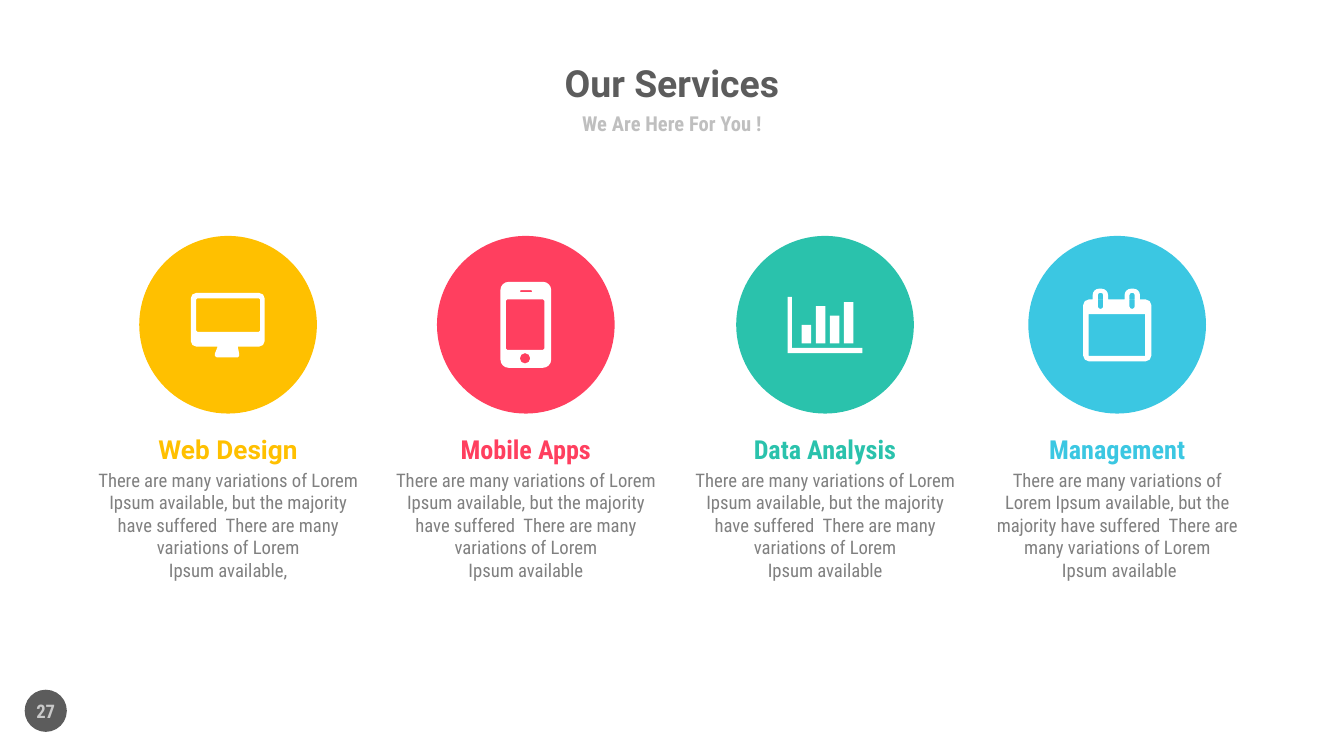
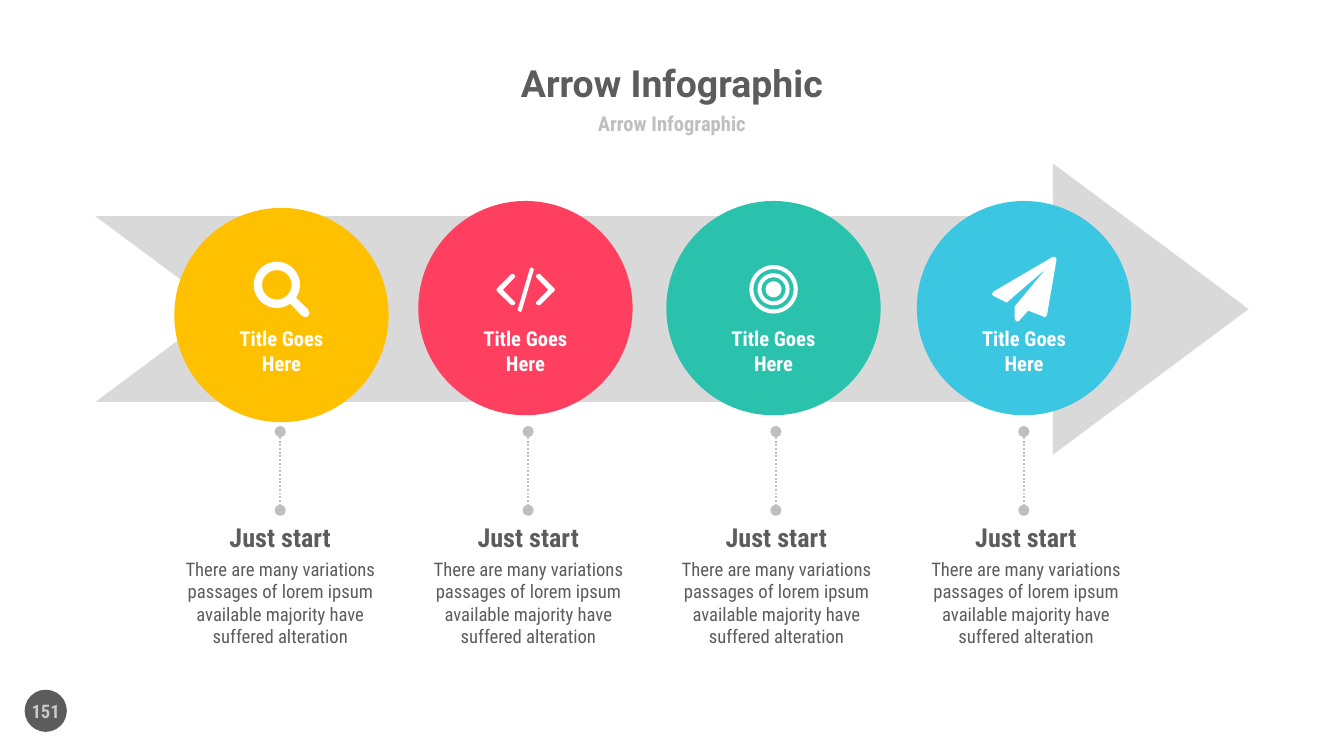
"""Build a services slide and an arrow infographic slide."""
from dataclasses import dataclass
from math import ceil, cos, radians, sin, tan

from lxml import etree
from pptx import Presentation
from pptx.dml.color import RGBColor
from pptx.enum.dml import MSO_LINE
from pptx.enum.shapes import MSO_CONNECTOR, MSO_SHAPE
from pptx.enum.text import MSO_ANCHOR, MSO_AUTO_SIZE, PP_ALIGN
from pptx.oxml.ns import qn
from pptx.util import Pt

OVAL = MSO_SHAPE.OVAL
ARROW = MSO_SHAPE.NOTCHED_RIGHT_ARROW
STRAIGHT = MSO_CONNECTOR.STRAIGHT
DOTTED = MSO_LINE.ROUND_DOT
TOP = MSO_ANCHOR.TOP
MIDDLE = MSO_ANCHOR.MIDDLE
CENTER = PP_ALIGN.CENTER
GROW = MSO_AUTO_SIZE.SHAPE_TO_FIT_TEXT
FIXED = MSO_AUTO_SIZE.NONE


@dataclass(frozen=True)
class Theme:
    """Colours, fonts and type sizes."""
    yellow: str = "FFC000"
    red: str = "FF3F5F"
    green: str = "2AC2AC"
    blue: str = "3BC7E2"
    white: str = "FFFFFF"
    dark: str = "5C5C5C"
    body: str = "808080"
    muted: str = "BFBFBF"
    number: str = "C9C9C9"
    arrow: str = "D9D9D9"
    wide: str = "Roboto"
    narrow: str = "Roboto Condensed"
    title_size: float = 20
    heading_size: float = 14
    label_size: float = 11
    body_size: float = 10


THEME = Theme()
SLIDE_SIZE = (720, 405)
INSETS = (7.2, 3.6)
NO_INSETS = (0, 0)

SERVICE_TEXT = ("There are many variations of Lorem Ipsum available, but the majority "
                "have suffered  There are many variations of Lorem\v")
SERVICES = [
    ("Web Design", "Ipsum available,", THEME.yellow, THEME.wide, 122.2, 155.5, "monitor", (102.2, 156.9)),
    ("Mobile Apps", "Ipsum available", THEME.red, THEME.narrow, 281.7, 158.4, "phone", (268.1, 151)),
    ("Data Analysis", "Ipsum available", THEME.green, THEME.narrow, 442, 157.7, "chart", (422, 159)),
    ("Management", " Ipsum available", THEME.blue, THEME.narrow, 598.5, 151.2, "calendar", (580.3, 154.7)),
]
STEP_LABEL = ["Title Goes", "Here"]
STEP_HEADING = "Just start"
STEP_TEXT = ("There are many variations passages of lorem ipsum "
             "available majority have suffered alteration")
STEPS = [
    (THEME.yellow, 150.8, 111.4, 150.1, "magnifier", (135.9, 140.4)),
    (THEME.red, 281.5, 107.7, 283, "code", (265.9, 143.3)),
    (THEME.green, 414.4, 107.7, 415.9, "target", (401.6, 142)),
    (THEME.blue, 548.6, 107.7, 549.6, "plane", (531.4, 137.6)),
]


def arc(x, y, radius, start, end):
    """Return a start point and curve segments, angles in degrees."""
    if not radius:
        return [((x, y),)]
    count = ceil(abs(end - start) / 90)
    step = radians(end - start) / count
    pull = 4 / 3 * tan(step / 4)
    angles = [radians(start) + step * i for i in range(count + 1)]
    points = [(x + radius * cos(angle), y + radius * sin(angle)) for angle in angles]
    segments = [(points[0],)]
    for (x1, y1), (x2, y2) in zip(points, points[1:]):
        segments.append(((x1 - pull * (y1 - y), y1 + pull * (x1 - x)),
                         (x2 + pull * (y2 - y), y2 - pull * (x2 - x)), (x2, y2)))
    return segments


def circle(x, y, radius):
    """Return the outline of a circle."""
    return arc(x, y, radius, 0, 360)


def polygon(*points):
    """Return an outline of straight lines."""
    return [(point,) for point in points]


def box(left, top, right, bottom, radius=0, base_radius=None):
    """Return a rectangle with rounded top and base corners."""
    base = radius if base_radius is None else base_radius
    return (arc(left + radius, top + radius, radius, 180, 270)
            + arc(right - radius, top + radius, radius, 270, 360)
            + arc(right - base, bottom - base, base, 0, 90)
            + arc(left + base, bottom - base, base, 90, 180))


CHEVRON = [(9.4, 20.2), (8, 20.2), (0.2, 12.5), (0.2, 11.4), (8, 3.6), (9.4, 3.6),
           (10.1, 4.5), (10.1, 5.2), (3.6, 12), (10.1, 18.7), (10.1, 19.4)]
BAR_TOPS = [15.1, 5, 10.1, 2.9]
ICONS = {
    "monitor": [
        box(0, 0, 39.6, 28.8, 3),
        box(2.9, 2.9, 37.2, 20.9, 0.7),
        polygon((14.4, 28.8), (25.2, 28.8), (25.9, 32.4), (25.9, 33.8), (25.2, 34.6),
                (14, 34.6), (13, 33.8), (13, 32.4)),
    ],
    "phone": [
        box(0, 0, 27.2, 46.1, 4.5),
        box(2.9, 9.4, 23.6, 36.5, 0.8),
        box(10.4, 4.5, 17.1, 5.6, 0.5),
        circle(13.2, 41, 2.8),
    ],
    "chart": [
        polygon((0, 0), (2.2, 0), (2.2, 27.4), (40, 27.4), (40, 30.2), (0, 30.2)),
        *[box(7.5 + 7.55 * i, top, 12.6 + 7.55 * i, 25) for i, top in enumerate(BAR_TOPS)],
    ],
    "calendar": [
        box(0, 5.8, 36.5, 38.9, 3),
        box(2.9, 13.7, 33.2, 36),
        *[box(left, 0, left + 8.2, 5.8, 3.4, 0) for left in (5.1, 22.2)],
        *[box(left, 2.2, left + 2.8, 10.8, 1.2) for left in (7.9, 24.8)],
    ],
    "magnifier": [
        arc(12.4, 12.2, 12.4, 34, 0) + arc(12.4, 12.2, 12.4, 0, -270)[1:]
        + arc(12.4, 12.2, 12.4, 90, 55)[1:]
        + polygon((25.9, 28.8), (27.4, 29.5), (29, 29.2), (29.9, 27.4), (29.2, 25.4)),
        circle(12.4, 12.2, 7.9),
    ],
    "code": [
        polygon(*CHEVRON),
        polygon((13.7, 23), (13, 23.8), (12, 23.4), (11.5, 22.7), (18, 0.7), (18.7, 0),
                (19.6, 0.4), (20.2, 1)),
        polygon(*[(31.4 - x, y) for x, y in CHEVRON]),
    ],
    "target": [circle(12.8, 13, radius) for radius in (13, 10.8, 8.6, 6.5, 4.3)],
    "plane": [
        polygon((34.6, 1.4), (29.5, 31), (28.8, 32.2), (28, 32.2), (19.4, 28.8), (14.4, 34.4),
                (13, 34.6), (12.2, 33.1), (12.2, 26.6), (28.8, 6.5), (7.9, 24.5), (0.7, 20.9),
                (0, 20), (0.7, 18.7), (32.6, 0), (33.8, 0)),
    ],
}


def paint(shape, color):
    """Give a shape a flat fill without line or shadow."""
    shape.shadow.inherit = False
    shape.fill.solid()
    shape.fill.fore_color.rgb = RGBColor.from_string(color)
    shape.line.fill.background()


def add_shape(slide, kind, left, top, width, height, color):
    """Add a flat preset shape."""
    shape = slide.shapes.add_shape(kind, Pt(left), Pt(top), Pt(width), Pt(height))
    paint(shape, color)
    return shape


def bend(shape, contours):
    """Join each three-point segment of a freeform into one curve."""
    outline = next(shape._element.iter(qn("a:path")))
    commands = iter([node for node in outline if node.tag != qn("a:close")])
    for contour in contours:
        for segment in contour:
            first, *others = [next(commands) for _ in segment]
            for other in others:
                first.append(other[0])
                outline.remove(other)
            if others:
                first.tag = qn("a:cubicBezTo")


def add_icon(slide, name, origin):
    """Draw a white icon with its top left at origin."""
    left, top = origin
    contours = ICONS[name]
    outlines = [[((left + x) * 100, (top + y) * 100) for segment in contour for x, y in segment]
                for contour in contours]
    builder = slide.shapes.build_freeform(*outlines[0][0], scale=Pt(1) / 100)
    for i, points in enumerate(outlines):
        if i:
            builder.move_to(*points[0])
        builder.add_line_segments(points[1:], close=True)
    shape = builder.convert_to_shape()
    bend(shape, contours)
    paint(shape, THEME.white)


def add_text(shapes, area, lines, insets=NO_INSETS, anchor=TOP, wrap=True, grow=True):
    """Add centred lines of (text, size, font, color, bold, space before)."""
    text_box = shapes.add_textbox(*[Pt(value) for value in area])
    frame = text_box.text_frame
    frame.word_wrap = wrap
    frame.auto_size = GROW if grow else FIXED
    frame.vertical_anchor = anchor
    frame.margin_left = frame.margin_right = Pt(insets[0])
    frame.margin_top = frame.margin_bottom = Pt(insets[1])
    for i, (text, size, font, color, bold, space) in enumerate(lines):
        paragraph = frame.add_paragraph() if i else frame.paragraphs[0]
        paragraph.text = text
        paragraph.alignment = CENTER
        if space:
            paragraph.space_before = Pt(space)
        for run in paragraph.runs:
            run.font.size = Pt(size)
            run.font.name = font
            run.font.bold = bold
            run.font.color.rgb = RGBColor.from_string(color)


def add_dotted_line(slide, x, start, end):
    """Add a vertical dotted line with round ends."""
    line = slide.shapes.add_connector(STRAIGHT, Pt(x), Pt(start), Pt(x), Pt(end))
    line.line.width = Pt(1)
    line.line.color.rgb = RGBColor.from_string(THEME.muted)
    line.line.dash_style = DOTTED
    properties = line.line._get_or_add_ln()
    for tag in ("a:headEnd", "a:tailEnd"):
        etree.SubElement(properties, qn(tag), type="oval")
    etree.SubElement(line._element.spPr, qn("a:effectLst"))


def new_slide(presentation, title, subtitle, number):
    """Add a slide with title, subtitle and number badge."""
    slide = presentation.slides.add_slide(presentation.slide_layouts[6])
    add_shape(slide, OVAL, 13.2, 369.5, 22.6, 22.6, THEME.dark)
    for text, area, size, font, color, insets, wrap in [
        (title, (138, 30.2, 444, 28.1), THEME.title_size, THEME.wide, THEME.dark, NO_INSETS, False),
        (subtitle, (198, 58.3, 324, 15.8), THEME.label_size, THEME.narrow, THEME.muted, NO_INSETS, False),
        (number, (6.5, 370.1, 36, 21.6), THEME.body_size, THEME.narrow, THEME.number, INSETS, True),
    ]:
        add_text(slide.shapes, area, [(text, size, font, color, True, 0)],
                 insets, MIDDLE, wrap, grow=False)
    return slide


def build_services(presentation):
    """Add the four services."""
    slide = new_slide(presentation, "Our Services", "We Are Here For You !", "27")
    diameter = 95.2
    for heading, ending, color, font, center, width, icon, origin in SERVICES:
        add_text(slide.shapes, (center - width / 2, 228.7, width, 87.1),
                 [(heading, THEME.heading_size, font, color, True, 0),
                  (SERVICE_TEXT + ending, THEME.body_size, THEME.narrow, THEME.body, False, 2)],
                 INSETS)
        add_shape(slide, OVAL, center - diameter / 2, 126.4, diameter, diameter, color)
        add_icon(slide, icon, origin)


def build_arrow(presentation):
    """Add the arrow with four steps."""
    slide = new_slide(presentation, "Arrow Infographic", "Arrow Infographic", "151")
    arrow = add_shape(slide, ARROW, 51.1, 87.6, 617.8, 156, THEME.arrow)
    arrow.adjustments[0] = 0.638
    arrow.adjustments[1] = 0.672
    diameter, label_width, text_width, heading_width = 114.8, 78.5, 116.6, 63.4
    for i, (color, center, top, column, icon, origin) in enumerate(STEPS):
        add_shape(slide, OVAL, center - diameter / 2, top, diameter, diameter, color)
        add_icon(slide, icon, origin)
        add_text(slide.shapes, (center - label_width / 2, 174.6, label_width, 26.6),
                 [(line, THEME.label_size, THEME.narrow, THEME.white, True, 0)
                  for line in STEP_LABEL])
        add_dotted_line(slide, 150.1 + 132.8 * i, 273.4, 231.2)
        group = slide.shapes.add_group_shape()
        add_text(group.shapes, (column - text_width / 2, 298.8, text_width, 48.2),
                 [(STEP_TEXT, THEME.body_size, THEME.narrow, THEME.dark, False, 0)])
        add_text(group.shapes, (column - heading_width / 2, 279.4, heading_width, 17.3),
                 [(STEP_HEADING, THEME.heading_size, THEME.narrow, THEME.dark, True, 0)],
                 wrap=False)


def main():
    """Build and save the presentation."""
    presentation = Presentation()
    presentation.slide_width, presentation.slide_height = [Pt(value) for value in SLIDE_SIZE]
    build_services(presentation)
    build_arrow(presentation)
    presentation.save("out.pptx")


if __name__ == "__main__":
    main()
